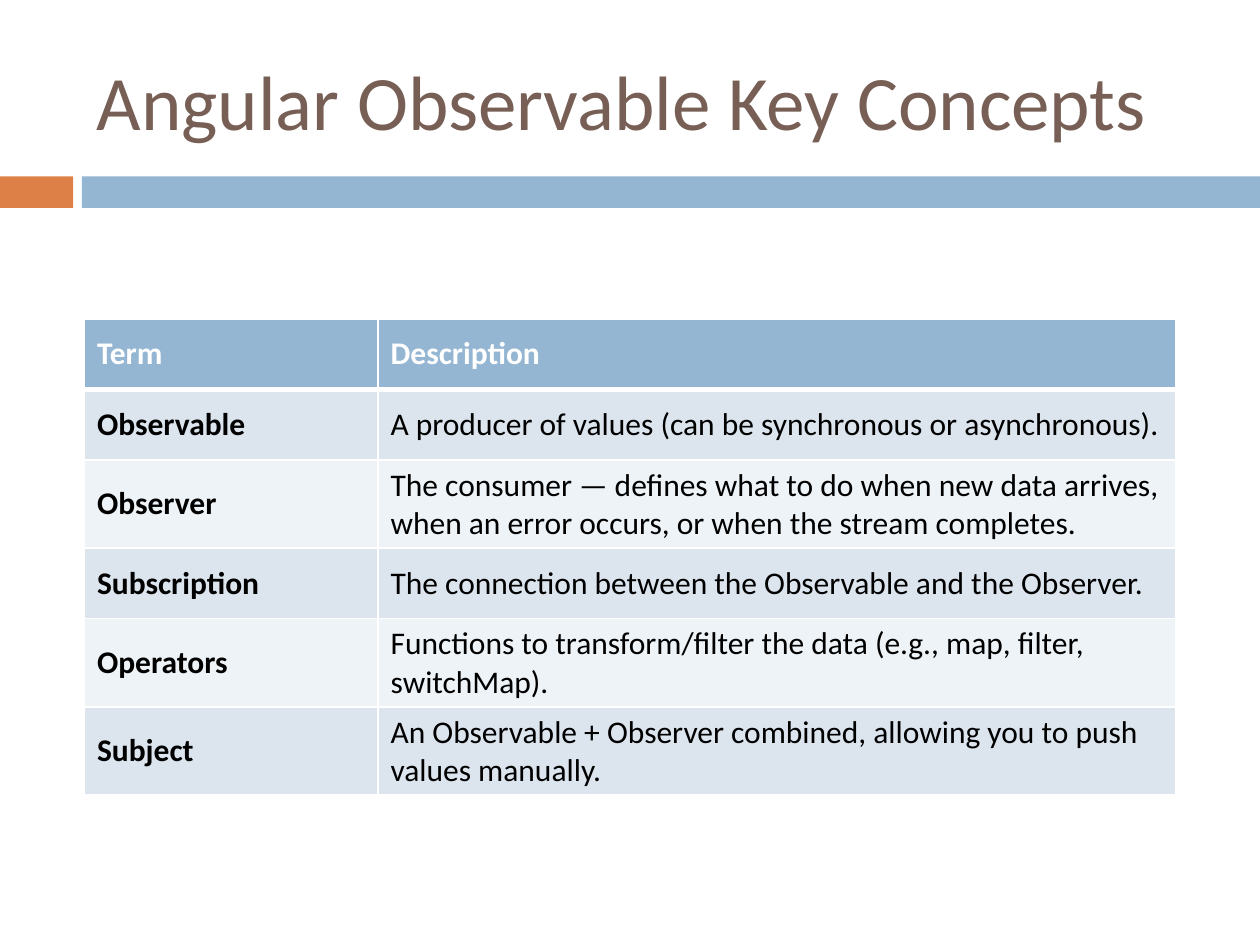
import dataclasses
import typing

import lxml.etree
import pptx
import pptx.dml.color
import pptx.enum.shapes
import pptx.enum.text
import pptx.oxml.ns
import pptx.util

Inches = pptx.util.Inches


@dataclasses.dataclass(frozen=True)
class Theme:
    font: str = "Calibri"
    title: str = "775F55"
    accent: str = "DD8047"
    main: str = "94B6D2"
    bands: tuple[str, str] = ("DCE5EE", "EEF3F7")
    ink: str = "000000"
    white: str = "FFFFFF"
    head_size: int = 44
    cell_size: int = 18
    thin: int = 1
    thick: int = 3


class Bar(typing.NamedTuple):
    left: float
    width: float
    color: str


class Entry(typing.NamedTuple):
    term: str
    text: str


THEME = Theme()
BARS = [Bar(0, 0.58, THEME.accent), Bar(0.65, 9.35, THEME.main)]
HEAD = Entry("Term", "Description")
ENTRIES = [
    Entry("Observable", "A producer of values (can be synchronous or asynchronous)."),
    Entry("Observer", "The consumer — defines what to do when new data arrives, "
          "when an error occurs, or when the stream completes."),
    Entry("Subscription", "The connection between the Observable and the Observer."),
    Entry("Operators", "Functions to transform/filter the data (e.g., map, filter, switchMap)."),
    Entry("Subject", "An Observable + Observer combined, allowing you to push values manually."),
]


def rgb(color: str) -> pptx.dml.color.RGBColor:
    return pptx.dml.color.RGBColor.from_string(color)


def write(frame, text: str, *, size: int, color: str, bold: bool = False) -> None:
    run = frame.paragraphs[0].add_run()
    run.text = text
    run.font.name = THEME.font
    run.font.size = pptx.util.Pt(size)
    run.font.bold = bold
    run.font.color.rgb = rgb(color)


def draw_bar(slide, bar: Bar) -> None:
    shape = slide.shapes.add_shape(
        pptx.enum.shapes.MSO_SHAPE.RECTANGLE,
        Inches(bar.left), Inches(1.4), Inches(bar.width), Inches(0.25))
    shape.shadow.inherit = False
    shape.fill.solid()
    shape.fill.fore_color.rgb = rgb(bar.color)
    shape.line.fill.background()


def draw_title(slide, text: str) -> None:
    box = slide.shapes.add_textbox(Inches(0.67), Inches(0.25), Inches(8.92), Inches(1.08))
    frame = box.text_frame
    frame.word_wrap = True
    frame.vertical_anchor = pptx.enum.text.MSO_ANCHOR.MIDDLE
    write(frame, text, size=THEME.head_size, color=THEME.title)


def edge(cell, side: str, width: int) -> None:
    """Add one white border; must come before the cell's fill."""
    qn = pptx.oxml.ns.qn
    line = lxml.etree.SubElement(cell._tc.get_or_add_tcPr(), qn(f"a:ln{side}"),
                                 w=str(pptx.util.Pt(width)))
    fill = lxml.etree.SubElement(line, qn("a:solidFill"))
    lxml.etree.SubElement(fill, qn("a:srgbClr"), val=THEME.white)


def draw_table(slide, rows: list[Entry]) -> None:
    high = Inches(0.56)
    table = slide.shapes.add_table(len(rows), 2, Inches(0.67), Inches(2.53),
                                   Inches(8.66), high * len(rows)).table
    for column, width in zip(table.columns, (2.33, 6.33)):
        column.width = Inches(width)
    for i, entry in enumerate(rows):
        table.rows[i].height = high
        head = i == 0
        widths = {
            "L": THEME.thin,
            "R": THEME.thin,
            "T": THEME.thick if i == 1 else THEME.thin,
            "B": THEME.thick if head else THEME.thin,
        }
        for j, text in enumerate(entry):
            cell = table.cell(i, j)
            for side, width in widths.items():
                edge(cell, side, width)
            cell.fill.solid()
            cell.fill.fore_color.rgb = rgb(THEME.main if head else THEME.bands[(i - 1) % 2])
            cell.vertical_anchor = pptx.enum.text.MSO_ANCHOR.MIDDLE
            write(cell.text_frame, text, size=THEME.cell_size,
                  color=THEME.white if head else THEME.ink, bold=head or j == 0)


def main() -> None:
    deck = pptx.Presentation()
    deck.slide_width, deck.slide_height = Inches(10), Inches(7.5)
    slide = deck.slides.add_slide(deck.slide_layouts[6])
    for bar in BARS:
        draw_bar(slide, bar)
    draw_title(slide, "Angular Observable Key Concepts")
    draw_table(slide, [HEAD, *ENTRIES])
    deck.save("out.pptx")


if __name__ == "__main__":
    main()
